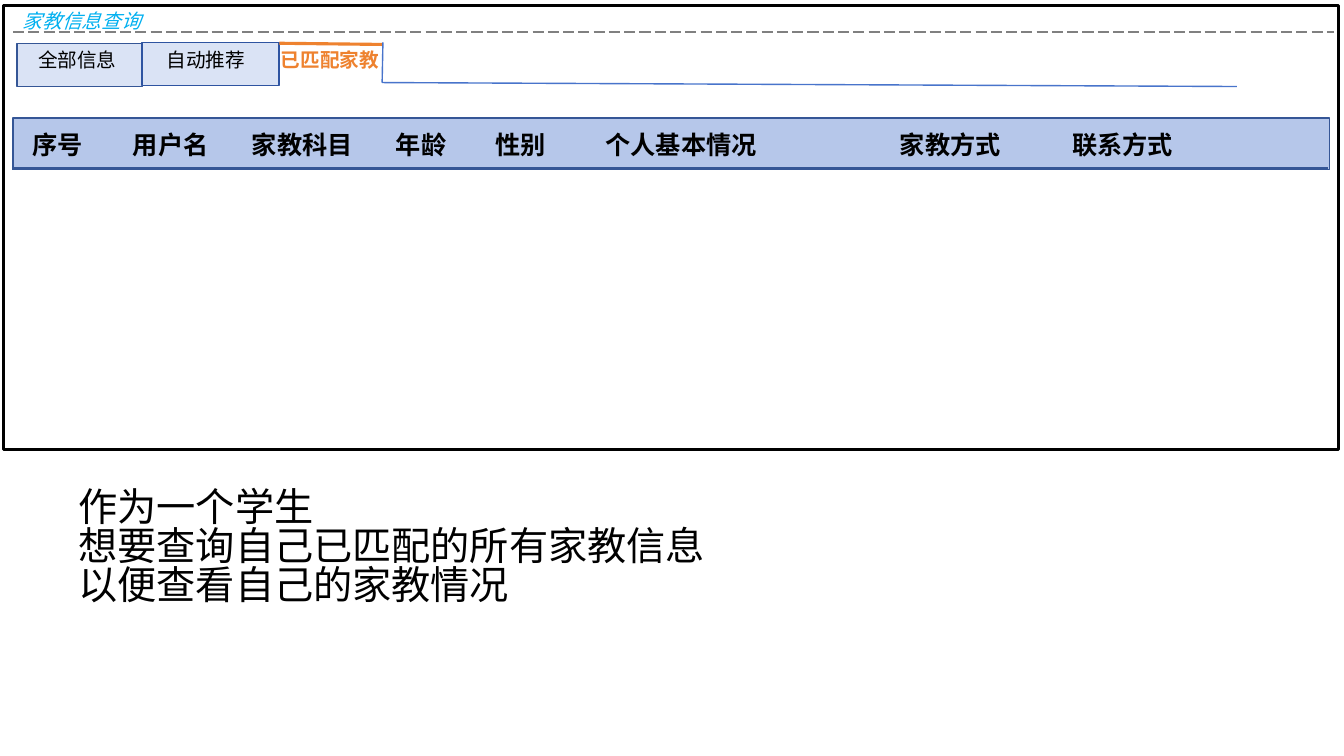
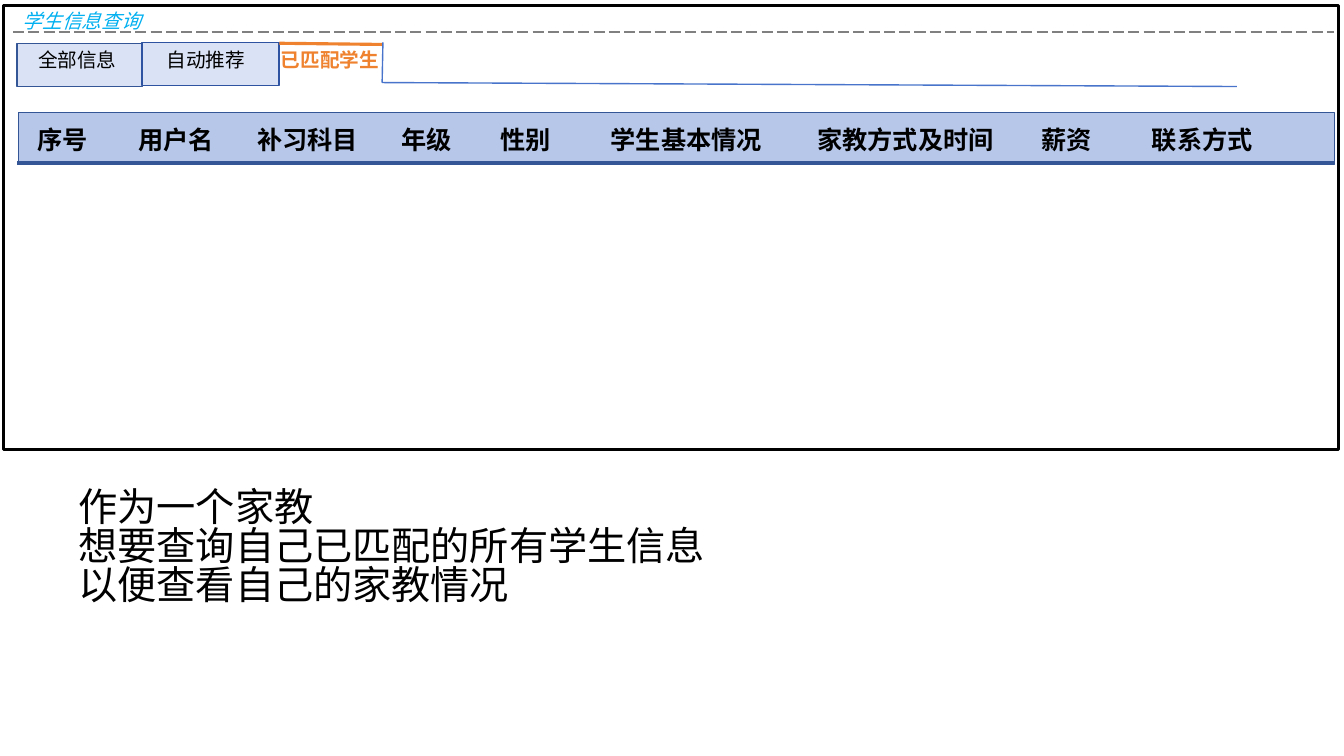
from pptx import Presentation
from pptx.dml.color import RGBColor
from pptx.enum import dml, shapes
from pptx.oxml import ns, xmlchemy
from pptx.util import Cm, Pt

FONT = "Noto Sans CJK SC"
INK = {
    "black": "000000", "white": "FFFFFF", "grey": "808080", "cyan": "00B0F0",
    "orange": "EE822F", "blue": "4874CB", "edge": "355696", "rim": "2E54A1",
    "tab": "DAE3F5", "band": "B6C7EA",
}

# Leading columns of the header band: offset from the band and width
COLS = [(0.23, 2.74), (2.77, 2.74), (5.77, 3.25), (9.4, 2.74),
        (11.91, 2.74), (14.68, 6.05)]

PAGES = [
    dict(title="家教信息查询", tab="已匹配家教", left=0.33, top=2.97,
         heads=["序号", "用户名", "家教科目", "年龄", "性别", "个人基本情况",
                "家教方式", "联系方式"],
         cols=COLS + [(22.1, 3.63), (26.44, 4.09)],
         story=["作为一个学生", "想要查询自己已匹配的所有家教信息", "以便查看自己的家教情况"]),
    dict(title="学生信息查询", tab="已匹配学生", left=0.46, top=2.84,
         heads=["序号", "用户名", "补习科目", "年级", "性别", "学生基本情况",
                "家教方式及时间", "薪资", "联系方式"],
         cols=COLS + [(19.89, 5.03), (25.53, 3), (28.32, 4.85)],
         story=["作为一个家教", "想要查询自己已匹配的所有学生信息", "以便查看自己的家教情况"]),
]


def tint(name):
    return RGBColor.from_string(INK[name])


def box(slide, x, y, w, h, fill, line, width=1):
    rect = slide.shapes.add_shape(
        shapes.MSO_SHAPE.RECTANGLE, Cm(x), Cm(y), Cm(w), Cm(h))
    rect.shadow.inherit = False
    rect.fill.solid()
    rect.fill.fore_color.rgb = tint(fill)
    rect.line.color.rgb = tint(line)
    rect.line.width = Pt(width)


def rule(slide, x1, y1, x2, y2, color, width=1, dash=None):
    line = slide.shapes.add_connector(
        shapes.MSO_CONNECTOR.STRAIGHT, Cm(x1), Cm(y1), Cm(x2), Cm(y2))
    line.line.color.rgb = tint(color)
    line.line.width = Pt(width)
    if dash:
        line.line.dash_style = dash
    line._element.spPr.append(xmlchemy.OxmlElement("a:effectLst"))


def write(slide, words, x, y, w, h=0.86, size=14, color="black",
          bold=False, italic=False):
    frame = slide.shapes.add_textbox(Cm(x), Cm(y), Cm(w), Cm(h)).text_frame
    frame.word_wrap = True
    frame.margin_top = Cm(0.18)
    frame.text = words
    for para in frame.paragraphs:
        para.line_spacing = 0.83
        for run in para.runs:
            font = run.font
            font.name, font.size = FONT, Pt(size)
            font.bold, font.italic = bold, italic
            font.color.rgb = tint(color)
            # East Asian typeface follows the Latin one
            east = xmlchemy.OxmlElement("a:ea")
            east.set("typeface", FONT)
            font._element.find(ns.qn("a:latin")).addnext(east)


def panel(slide, title):
    box(slide, 0.08, 0.15, 33.65, 11.18, "white", "black", 2.25)
    rule(slide, 0.33, 0.81, 33.63, 0.81, "grey", dash=dml.MSO_LINE.LONG_DASH)
    write(slide, title, 0.33, 0.15, 4.01, color="cyan", italic=True)


def tabs(slide, name):
    # Idle tabs
    box(slide, 0.43, 1.09, 3.17, 1.09, "tab", "edge")
    write(slide, "全部信息", 0.71, 1.14, 3.89)
    box(slide, 3.58, 1.07, 3.45, 1.09, "tab", "rim")
    write(slide, " 自动推荐", 3.84, 1.14, 3.43)
    # Active tab and its outline
    rule(slide, 7.04, 1.09, 9.65, 1.12, "orange", 2.25)
    write(slide, name, 6.83, 1.12, 3.43, color="orange", bold=True)
    rule(slide, 9.65, 1.07, 9.63, 2.08, "blue")
    rule(slide, 9.63, 2.08, 31.17, 2.18, "blue")


def band(slide, left, top, heads, cols):
    box(slide, left, top, 33.17, 1.3, "band", "edge")
    rule(slide, left - 0.03, top + 1.27, left + 33.15, top + 1.27, "edge", 2.25)
    for head, (x, w) in zip(heads, cols):
        write(slide, head, left + x, top + 0.24, w, 1.02, size=18, bold=True)


def main():
    deck = Presentation()
    deck.slide_width, deck.slide_height = Cm(33.87), Cm(19.05)
    for page in PAGES:
        slide = deck.slides.add_slide(deck.slide_layouts[6])
        panel(slide, page["title"])
        tabs(slide, page["tab"])
        band(slide, page["left"], page["top"], page["heads"], page["cols"])
        # User story
        write(slide, "\n".join(page["story"]), 1.73, 12.17, 25.78, 4.67, size=28)
    deck.save("out.pptx")


if __name__ == "__main__":
    main()
